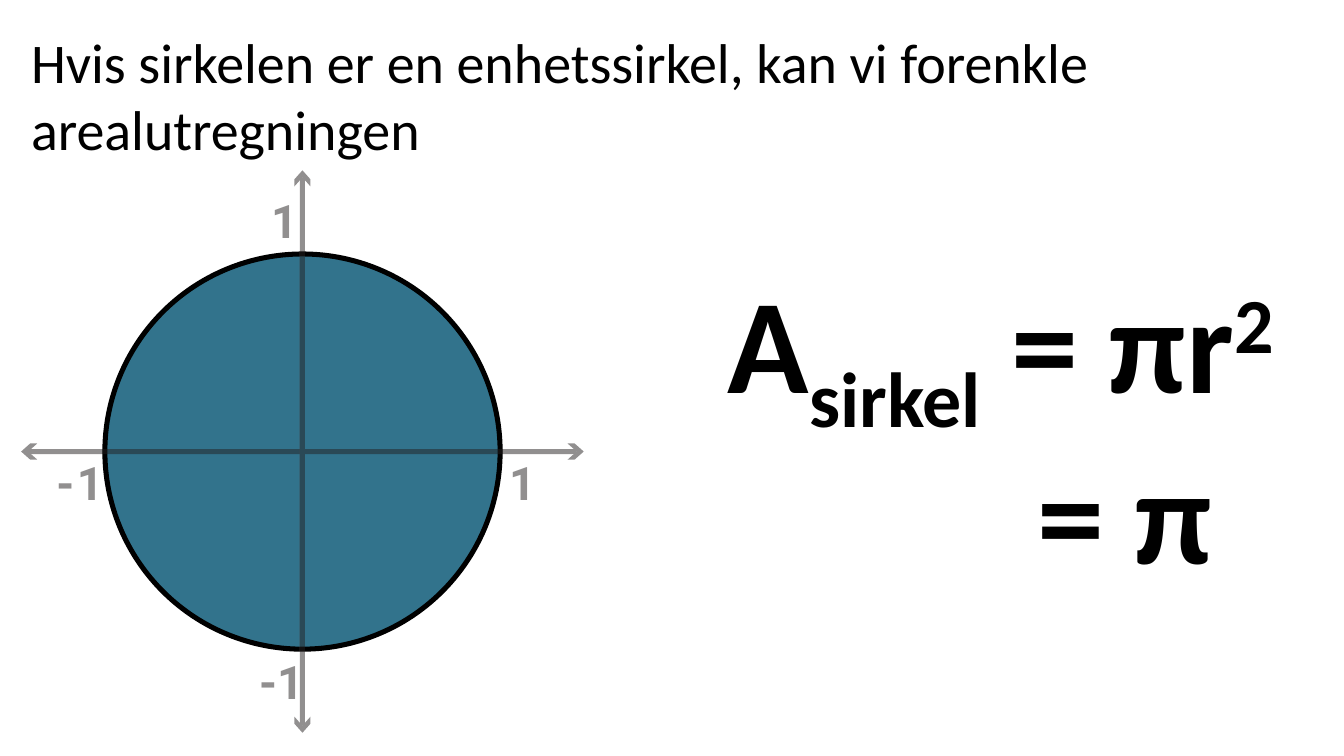
from pptx import Presentation
from pptx.dml.color import RGBColor
from pptx.enum.shapes import MSO_SHAPE
from pptx.enum.text import MSO_AUTO_SIZE
from pptx.util import Inches, Pt

BLACK, GREY, TEAL = "000000", "918F8F", "32738C"
DARK_TEAL, NEAR_BLACK = "2A4956", "121010"
CENTER_X, CENTER_Y = 3.0, 4.48
RADIUS, LINE_WIDTH = 1.96, 0.05
AXIS_END = 2.72

presentation = Presentation()
presentation.slide_width = Inches(13.33)
presentation.slide_height = Inches(7.5)
slide = presentation.slides.add_slide(presentation.slide_layouts[6])


def add_text(box, runs, size, font, hex_text, bold=True, wrap=False, inset=True):
    """Add one paragraph; runs are (text, baseline shift in percent) pairs."""
    frame = slide.shapes.add_textbox(*[Inches(length) for length in box]).text_frame
    frame.word_wrap = wrap
    frame.auto_size = MSO_AUTO_SIZE.SHAPE_TO_FIT_TEXT
    if not inset:
        frame.margin_left = frame.margin_right = 0
        frame.margin_top = frame.margin_bottom = 0
    for text, shift in runs:
        run = frame.paragraphs[0].add_run()
        run.text = text
        run.font.size = Pt(size)
        run.font.name = font
        run.font.bold = bold
        run.font.color.rgb = RGBColor.from_string(hex_text)
        if shift:
            run.font._element.set("baseline", str(shift * 1000))


def paint(shape, fill=None, line=None):
    """Set fill and outline colours; None leaves that part empty."""
    shape.shadow.inherit = False
    for part, hex_text in [(shape.fill, fill), (shape.line.fill, line)]:
        if hex_text:
            part.solid()
            part.fore_color.rgb = RGBColor.from_string(hex_text)
        else:
            part.background()


# Heading
heading = "Hvis sirkelen er en enhetssirkel, kan vi forenkle arealutregningen"
add_text((0.21, 0.22, 12.57, 1.45), [(heading, 0)], 40, "Calibri", BLACK,
         bold=False, wrap=True)

# Unit circle: disc and ring
for fill, line in [(TEAL, None), (None, BLACK)]:
    circle = slide.shapes.add_shape(
        MSO_SHAPE.OVAL, Inches(CENTER_X - RADIUS), Inches(CENTER_Y - RADIUS),
        Inches(2 * RADIUS), Inches(2 * RADIUS))
    paint(circle, fill, line)
    if line:
        circle.line.width = Inches(LINE_WIDTH)

# Axes: grey outside the circle, near black across the ring, dark teal inside
half = LINE_WIDTH / 2
inner, outer = RADIUS - half, RADIUS + half
bars = []
for start, end, hex_text in [(outer, AXIS_END, GREY), (half, inner, DARK_TEAL),
                             (inner, outer, NEAR_BLACK)]:
    for left in (start, -end):
        bars.append((left, -half, end - start, LINE_WIDTH, hex_text))
for reach, hex_text in [(AXIS_END, GREY), (outer, NEAR_BLACK), (inner, DARK_TEAL)]:
    bars.append((-half, -reach, LINE_WIDTH, 2 * reach, hex_text))
for left, top, width, height, hex_text in bars:
    bar = slide.shapes.add_shape(
        MSO_SHAPE.RECTANGLE, Inches(CENTER_X + left), Inches(CENTER_Y + top),
        Inches(width), Inches(height))
    paint(bar, hex_text)

# Open arrowheads
arrowhead = [(2.79, 0), (2.7, -0.08), (2.63, -0.08), (2.72, 0), (2.63, 0.08), (2.7, 0.08)]
for dx, dy in [(-1, 0), (1, 0), (0, 1), (0, -1)]:
    points = [(Inches(CENTER_X + along * dx - across * dy),
               Inches(CENTER_Y + along * dy + across * dx))
              for along, across in arrowhead]
    builder = slide.shapes.build_freeform(*points[0])
    builder.add_line_segments(points[1:], close=True)
    paint(builder.convert_to_shape(), GREY)

# Axis labels
for label, left, top, width in [("1", 5.05, 4.51, 0.38), ("-", 0.56, 4.51, 0.3),
                                (" 1", 0.65, 4.51, 0.45), ("1", 2.69, 1.91, 0.38),
                                ("-1", 2.57, 6.48, 0.49)]:
    add_text((left, top, width, 0.71), [(label, 0)], 33, "Roboto", GREY, inset=False)

# Area formula
add_text((7.12, 2.52, 5.99, 1.72), [("A", 0), ("sirkel", -25), (" = πr", 0), ("2", 30)],
         96, "Calibri", BLACK)
add_text((9.89, 4.22, 2.26, 1.72), [(" = π", 0)], 96, "Calibri", BLACK)

presentation.save("out.pptx")
